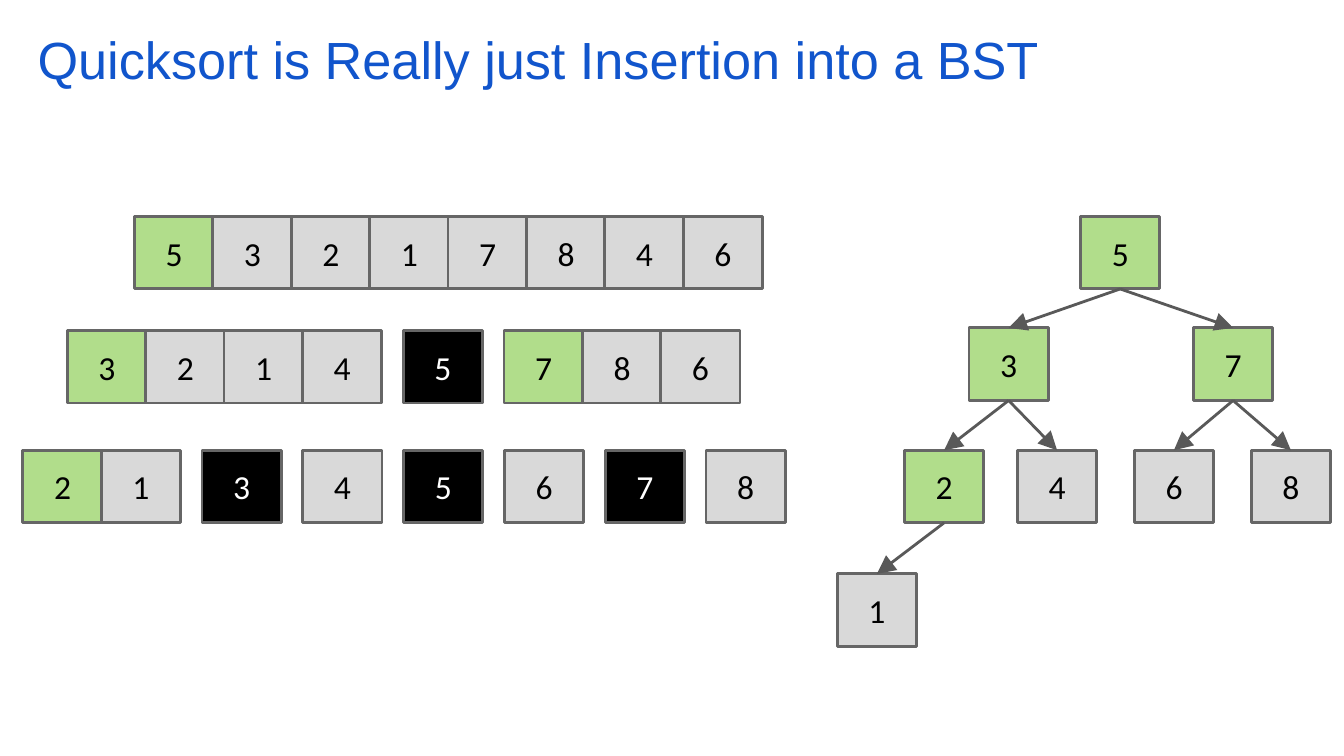
"""Build a slide that sets quicksort partitions beside the matching search tree."""
from lxml.etree import SubElement
from pptx import Presentation
from pptx.dml.color import RGBColor
from pptx.enum.shapes import MSO_CONNECTOR, MSO_SHAPE
from pptx.enum.text import MSO_ANCHOR, MSO_AUTO_SIZE, PP_ALIGN
from pptx.oxml.ns import qn
from pptx.util import Inches, Pt

BLUE = RGBColor(0x11, 0x55, 0xCC)
GREEN = RGBColor(0xB1, 0xDD, 0x8B)
GREY = RGBColor(0xD9, 0xD9, 0xD9)
BORDER = RGBColor(0x66, 0x66, 0x66)
ARROW = RGBColor(0x59, 0x59, 0x59)
BLACK = RGBColor(0x00, 0x00, 0x00)
WHITE = RGBColor(0xFF, 0xFF, 0xFF)

SLIDE_WIDTH = Inches(10)
SLIDE_HEIGHT = SLIDE_WIDTH * 9 // 16
CELL_WIDTH, CELL_HEIGHT = 0.59, 0.54
COLUMN = 7 / 12
GAP = 1 / 6
INSET = Inches(0.1)

PARTITION_ROWS = [
    (1.0, 1.61, [("53217846", GREEN)]),
    (0.5, 2.46, [("3214", GREEN), ("5", BLACK), ("786", GREEN)]),
    (0.17, 3.35, [("21", GREEN), ("3", BLACK), ("4", GREY), ("5", BLACK),
                  ("6", GREY), ("7", BLACK), ("8", GREY)]),
]
TREE_LEVELS = [
    (1.61, [("5", 8.04, GREEN)]),
    (2.44, [("3", 7.21, GREEN), ("7", 8.88, GREEN)]),
    (3.35, [("2", 6.73, GREEN), ("4", 7.57, GREY), ("6", 8.44, GREY), ("8", 9.31, GREY)]),
    (4.27, [("1", 6.23, GREY)]),
]
TREE_EDGES = ["53", "57", "32", "34", "76", "78", "21"]


def write_text(frame, text, font_name, size, color, alignment, anchor):
    """Write one formatted run into a text frame."""
    frame.word_wrap = True
    frame.auto_size = MSO_AUTO_SIZE.NONE
    frame.vertical_anchor = anchor
    frame.margin_left = frame.margin_right = INSET
    frame.margin_top = frame.margin_bottom = INSET
    paragraph = frame.paragraphs[0]
    paragraph.alignment = alignment
    run = paragraph.add_run()
    run.text = text
    run.font.name = font_name
    run.font.size = Pt(size)
    run.font.color.rgb = color


def set_title(slide, text):
    """Place and fill the title placeholder."""
    title = slide.shapes.title
    title.left, title.top = Inches(0.18), Inches(0.1)
    title.width, title.height = Inches(9.63), Inches(0.54)
    write_text(title.text_frame, text, "Arial", 28, BLUE, PP_ALIGN.LEFT, MSO_ANCHOR.TOP)


def add_cell(slide, label, left, top, fill):
    """Add one numbered box."""
    cell = slide.shapes.add_shape(
        MSO_SHAPE.RECTANGLE, Inches(left), Inches(top), Inches(CELL_WIDTH), Inches(CELL_HEIGHT))
    cell.shadow.inherit = False
    cell.fill.solid()
    cell.fill.fore_color.rgb = fill
    cell.line.color.rgb = BORDER
    cell.line.width = Pt(1.5)
    color = WHITE if fill == BLACK else BLACK
    write_text(cell.text_frame, label, "Calibri", 18, color, PP_ALIGN.CENTER, MSO_ANCHOR.MIDDLE)
    return cell


def add_partition_row(slide, left, top, segments):
    """Add a row of segments whose first cell carries the segment's colour."""
    for labels, first_fill in segments:
        for index, label in enumerate(labels):
            add_cell(slide, label, left, top, GREY if index else first_fill)
            left += COLUMN
        left += GAP


def add_arrow(slide, parent, child):
    """Connect the bottom of a parent node to the top of its child."""
    arrow = slide.shapes.add_connector(MSO_CONNECTOR.STRAIGHT, 0, 0, 0, 0)
    arrow.begin_connect(parent, 2)
    arrow.end_connect(child, 0)
    arrow.line.color.rgb = ARROW
    arrow.line.width = Pt(1.5)
    properties = arrow._element.spPr
    SubElement(properties.find(qn("a:ln")), qn("a:tailEnd"), type="triangle", w="lg", len="lg")
    SubElement(properties, qn("a:effectLst"))


def add_tree(slide):
    """Add the search tree level by level, then its edges."""
    nodes = {}
    for top, level in TREE_LEVELS:
        for label, left, fill in level:
            nodes[label] = add_cell(slide, label, left, top, fill)
    for parent, child in TREE_EDGES:
        add_arrow(slide, nodes[parent], nodes[child])


def main():
    """Build and save the presentation."""
    presentation = Presentation()
    presentation.slide_width, presentation.slide_height = SLIDE_WIDTH, SLIDE_HEIGHT
    slide = presentation.slides.add_slide(presentation.slide_layouts[5])
    set_title(slide, "Quicksort is Really just Insertion into a BST")
    for left, top, segments in PARTITION_ROWS:
        add_partition_row(slide, left, top, segments)
    add_tree(slide)
    presentation.save("out.pptx")


if __name__ == "__main__":
    main()
